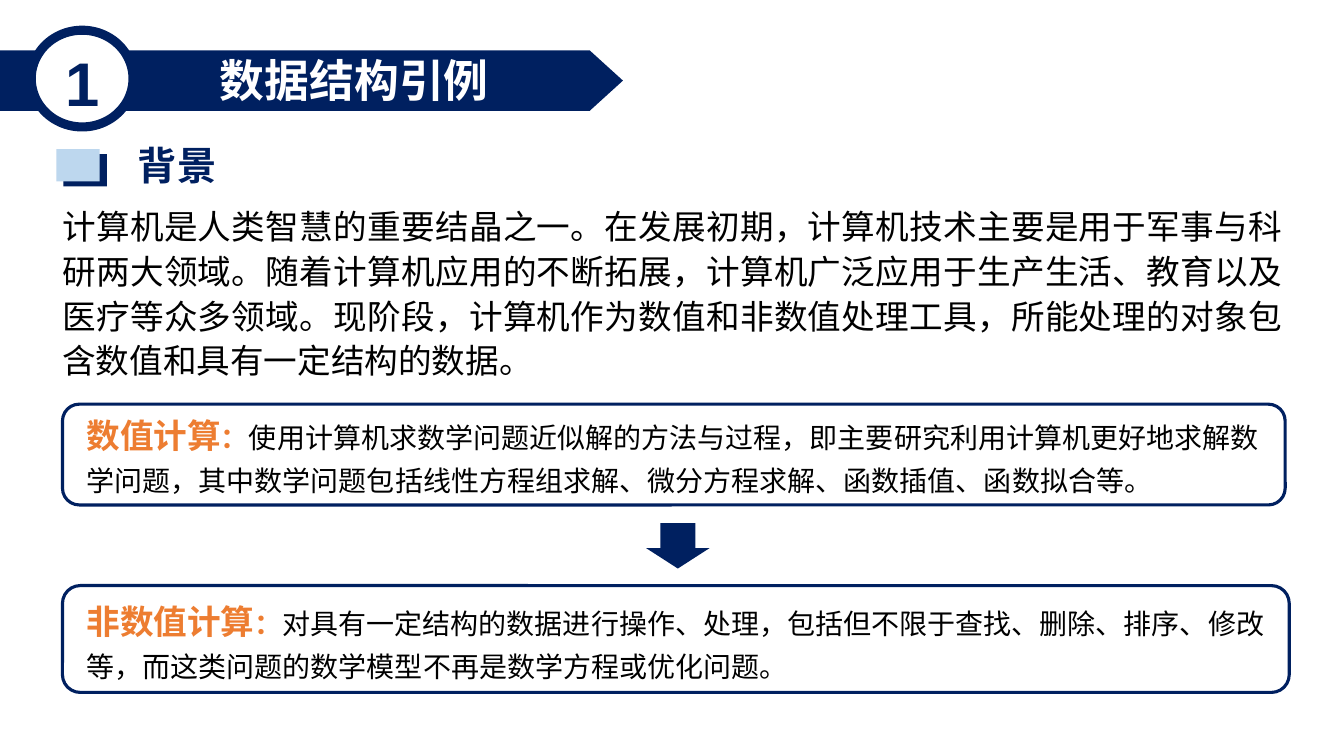
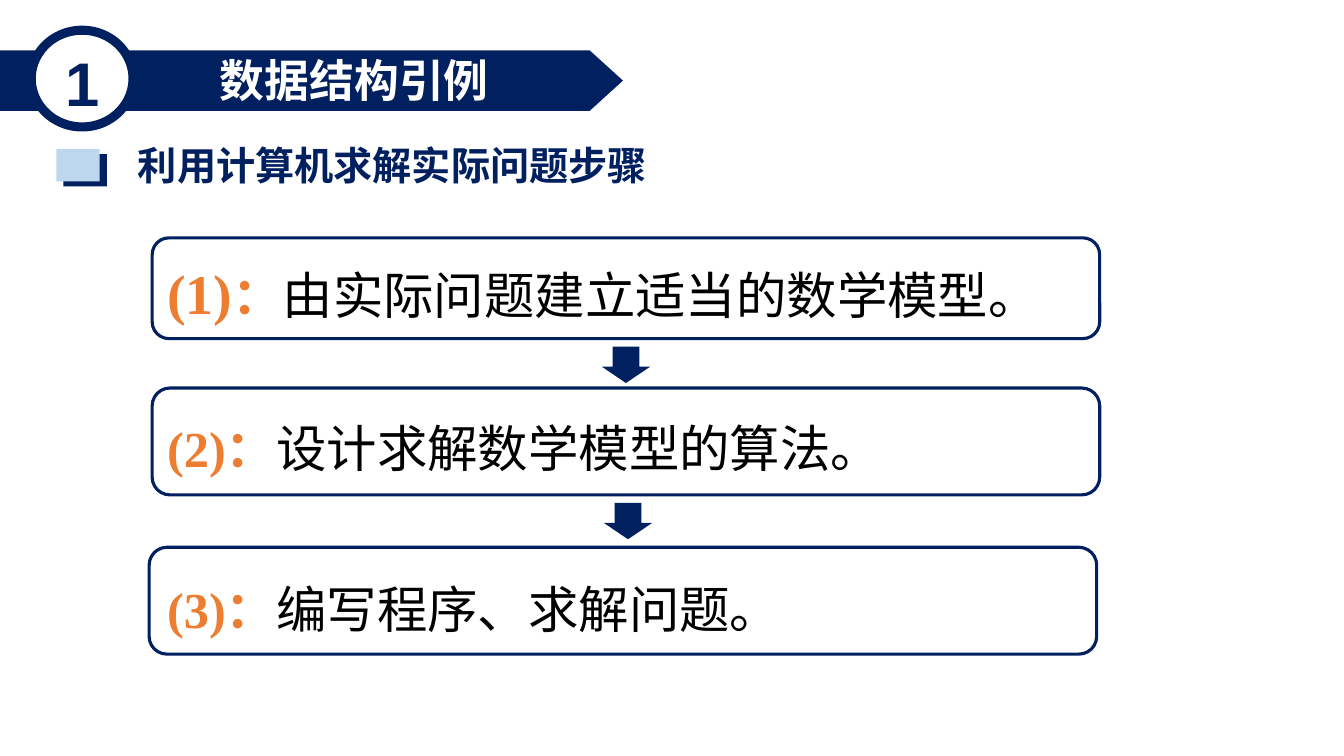
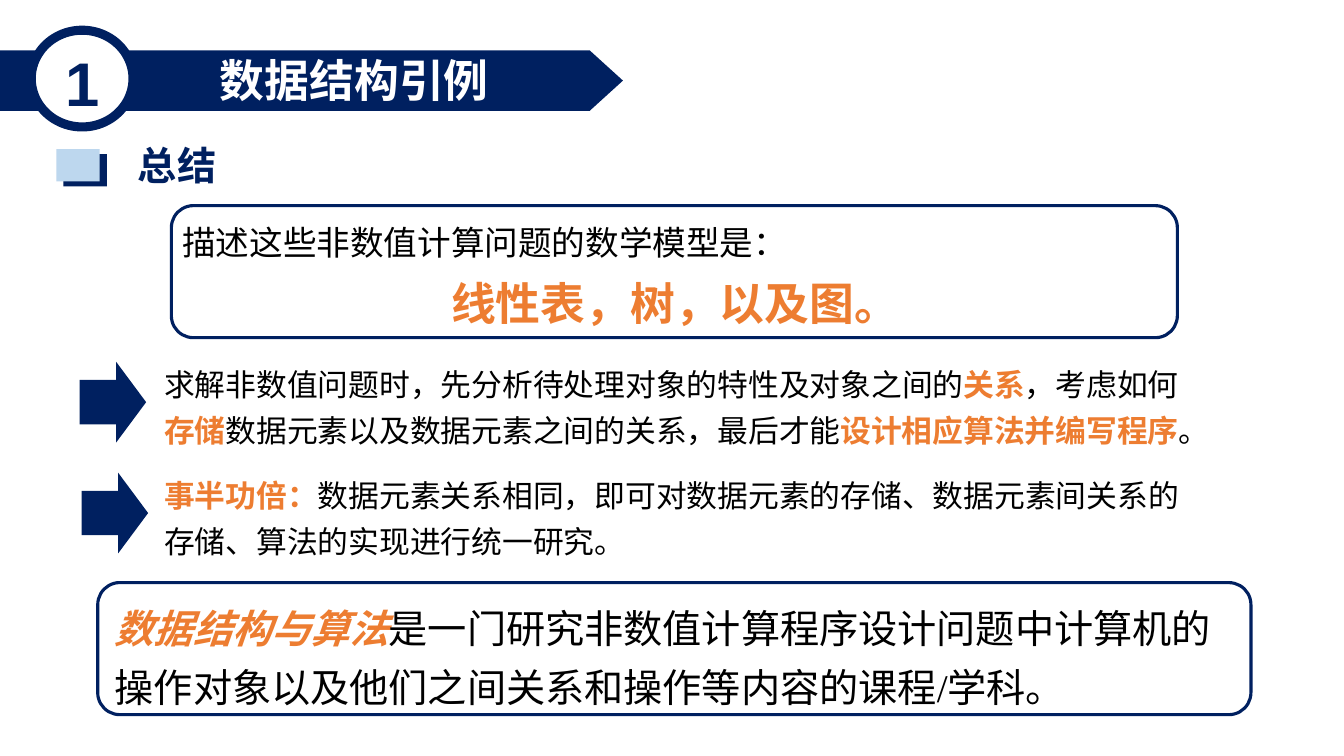
"""Build three slides that introduce data structures."""
from lxml import etree
from pptx import Presentation
from pptx.dml.color import RGBColor
from pptx.enum.lang import MSO_LANGUAGE_ID
from pptx.enum.shapes import MSO_SHAPE
from pptx.enum.text import MSO_ANCHOR, MSO_AUTO_SIZE, PP_ALIGN
from pptx.oxml.ns import qn
from pptx.util import Inches, Pt

RECT, OVAL = MSO_SHAPE.RECTANGLE, MSO_SHAPE.OVAL
ROUND, BAND = MSO_SHAPE.ROUNDED_RECTANGLE, MSO_SHAPE.PENTAGON
DOWN, RIGHT = MSO_SHAPE.DOWN_ARROW, MSO_SHAPE.RIGHT_ARROW
LEFT, MID, FULL = PP_ALIGN.LEFT, PP_ALIGN.CENTER, PP_ALIGN.JUSTIFY
TOP, CORE = MSO_ANCHOR.TOP, MSO_ANCHOR.MIDDLE
FIXED = MSO_AUTO_SIZE.NONE
CHINESE = MSO_LANGUAGE_ID.SIMPLIFIED_CHINESE

CELL = 0.1
COLS, ROWS = 133.33, 75
HUES = {"navy": "002060", "sky": "BDD7EE", "hot": "ED7D31",
        "black": "000000", "white": "FFFFFF"}
SERIF, SANS, HAN = "Times New Roman", "Arial", "Noto Sans CJK SC"
HOT = {"color": "hot", "bold": True}


def grid(*cells):
    """Turn grid cells into lengths."""
    return [Inches(round(cell * CELL, 3)) for cell in cells]


def hue(name):
    """Look up a colour."""
    return RGBColor.from_string(HUES[name])


def say(para, text, size=24, color="black", bold=False, italic=False, face=SERIF):
    """Add one formatted run to a paragraph."""
    run = para.add_run()
    run.text = text
    font = run.font
    font.size, font.bold, font.italic = Pt(size), bold, italic
    font.color.rgb = hue(color)
    font.name = face
    font.language_id = CHINESE
    etree.SubElement(run._r.get_or_add_rPr(), qn("a:ea"), typeface=HAN)


def fill_in(frame, *lines, space=1.25, anchor=TOP, wrap=True):
    """Set a frame's paragraphs, each an alignment and its runs."""
    frame.word_wrap, frame.auto_size = wrap, FIXED
    frame.vertical_anchor = anchor
    for i, (align, runs) in enumerate(lines):
        para = frame.add_paragraph() if i else frame.paragraphs[0]
        para.alignment, para.line_spacing = align, space
        for text, style in runs:
            say(para, text, **style)


def note(slide, box, *lines, **style):
    """Add a text box."""
    fill_in(slide.shapes.add_textbox(*grid(*box)).text_frame, *lines, **style)


def form(slide, kind, box, fill=None, weight=0, bends=()):
    """Add a preset shape with an optional fill and navy outline."""
    shape = slide.shapes.add_shape(kind, *grid(*box))
    shape.shadow.inherit = False
    if fill:
        shape.fill.solid()
        shape.fill.fore_color.rgb = hue(fill)
    else:
        shape.fill.background()
    if weight:
        shape.line.color.rgb = hue("navy")
        shape.line.width = Pt(weight)
    else:
        shape.line.fill.background()
    for i, bend in enumerate(bends):
        shape.adjustments[i] = bend


def card(slide, box):
    """Add a rounded outline."""
    form(slide, ROUND, box, weight=2.25)


def arrow(slide, kind, box):
    """Add a block arrow."""
    form(slide, kind, box, "navy", bends=(0.55, 0.45))


def page(deck, head):
    """Add a slide with the shared band, number and heading."""
    slide = deck.slides.add_slide(deck.slide_layouts[5])
    form(slide, BAND, (0, 5, 61.8, 6), "navy", bends=(0.55,))
    form(slide, OVAL, (3.1, 3, 10.1, 9.6), "white", 6.5)
    title = slide.shapes.title
    slide.shapes.element.append(title.element)
    title.left, title.top, title.width, title.height = grid(20.7, 4.7, 28.9, 6.4)
    fill_in(title.text_frame,
            (MID, [("数据结构引例", dict(size=32, color="white", bold=True, face=SANS))]),
            space=1, anchor=CORE, wrap=False)
    mark = dict(color="navy", bold=True)
    note(slide, (5.4, 3.9, 5.5, 8.4), (MID, [("1", dict(mark, size=44, face=SANS))]),
         space=1, anchor=CORE, wrap=False)
    form(slide, RECT, (6.3, 15.3, 4.3, 3.2), "navy")
    form(slide, RECT, (5.6, 14.8, 4.3, 3.2), "sky")
    note(slide, (12.7, 13.5, 80, 5.7), (LEFT, [(head, dict(mark, size=28))]),
         space=1, anchor=CORE)
    return slide


def ground(deck):
    """Build the background slide."""
    slide = page(deck, "背景")
    note(slide, (5.2, 19.5, 123, 18.6), (FULL, [(
        "计算机是人类智慧的重要结晶之一。在发展初期，计算机技术主要是用于军事与科研两大领域。"
        "随着计算机应用的不断拓展，计算机广泛应用于生产生活、教育以及医疗等众多领域。"
        "现阶段，计算机作为数值和非数值处理工具，所能处理的对象包含数值和具有一定结构的数据。",
        dict(face=HAN))]), space=Pt(32))
    kinds = [
        ((6.2, 40.1, 121.3, 10), (7.6, 39.7, 120.8, 9.9), "数值计算",
         "使用计算机求数学问题近似解的方法与过程，即主要研究利用计算机更好地求解数学问题，"
         "其中数学问题包括线性方程组求解、微分方程求解、函数插值、函数拟合等。"),
        ((6.2, 58.1, 121.7, 10.6), (7.6, 58.1, 121.3, 9.9), "非数值计算",
         "对具有一定结构的数据进行操作、处理，包括但不限于查找、删除、排序、修改等，"
         "而这类问题的数学模型不再是数学方程或优化问题。")]
    for edge, box, term, text in kinds:
        card(slide, edge)
        note(slide, box, (LEFT, [(term, HOT), ("：", dict(HOT, size=20)),
                                 (text, dict(size=20))]))
    arrow(slide, DOWN, (64.1, 51.9, 6.3, 4.5))


def steps(deck):
    """Build the slide of solving steps."""
    slide = page(deck, "利用计算机求解实际问题步骤")
    rows = [((15.1, 23.6, 94, 10), 23.5, 40, "由实际问题建立适当的数学模型。"),
            ((15.1, 38.5, 94, 10.6), 39.4, 36, "设计求解数学模型的算法。"),
            ((14.8, 54.3, 94, 10.6), 55.4, 36, "编写程序、求解问题。")]
    for i, (edge, top, size, text) in enumerate(rows, 1):
        card(slide, edge)
        note(slide, (15.6, top, 93, 8), (LEFT, [
            (f"({i})", dict(HOT, size=size)), ("：", dict(HOT, size=36)),
            (text, dict(size=36))]))
    for left, top in ((59.7, 34.4), (59.9, 49.9)):
        arrow(slide, DOWN, (left, top, 4.8, 3.6))


def close(deck):
    """Build the summary slide."""
    slide = page(deck, "总结")
    card(slide, (17, 20.4, 99.8, 13.1))
    note(slide, (17.1, 20.5, 99.8, 12.2),
         (LEFT, [("描述这些非数值计算问题的数学模型是：", {})]),
         (MID, [("线性表，树，以及图。", dict(HOT, size=32))]))
    body = dict(size=22)
    key = dict(HOT, size=22)
    points = [
        (7.9, 35.9, 34.9, [
            ("求解非数值问题时，先分析待处理对象的特性及对象之间的", body), ("关系", key),
            ("，考虑如何", body), ("存储", key),
            ("数据元素以及数据元素之间的关系，最后才能", body),
            ("设计相应算法并编写程序", key), ("。", body)]),
        (8.1, 46.9, 45.9, [
            ("事半功倍：", key),
            ("数据元素关系相同，即可对数据元素的存储、数据元素间关系的存储、"
             "算法的实现进行统一研究。", body)])]
    for left, tip, top, runs in points:
        arrow(slide, RIGHT, (left, tip, 6.6, 8))
        note(slide, (15.3, top, 103.8, 9.8), (LEFT, runs))
    card(slide, (9.7, 57.8, 114.4, 13.1))
    note(slide, (10.4, 58.3, 113.1, 12.2), (LEFT, [
        ("数据结构与算法", dict(HOT, size=28, italic=True)),
        ("是一门研究非数值计算程序设计问题中计算机的操作对象以及他们之间关系和操作等内容的课程/学科。",
         dict(size=28))]))


def main():
    """Build and save the deck."""
    deck = Presentation()
    deck.slide_width, deck.slide_height = grid(COLS, ROWS)
    for build in (ground, steps, close):
        build(deck)
    deck.save("out.pptx")


if __name__ == "__main__":
    main()
